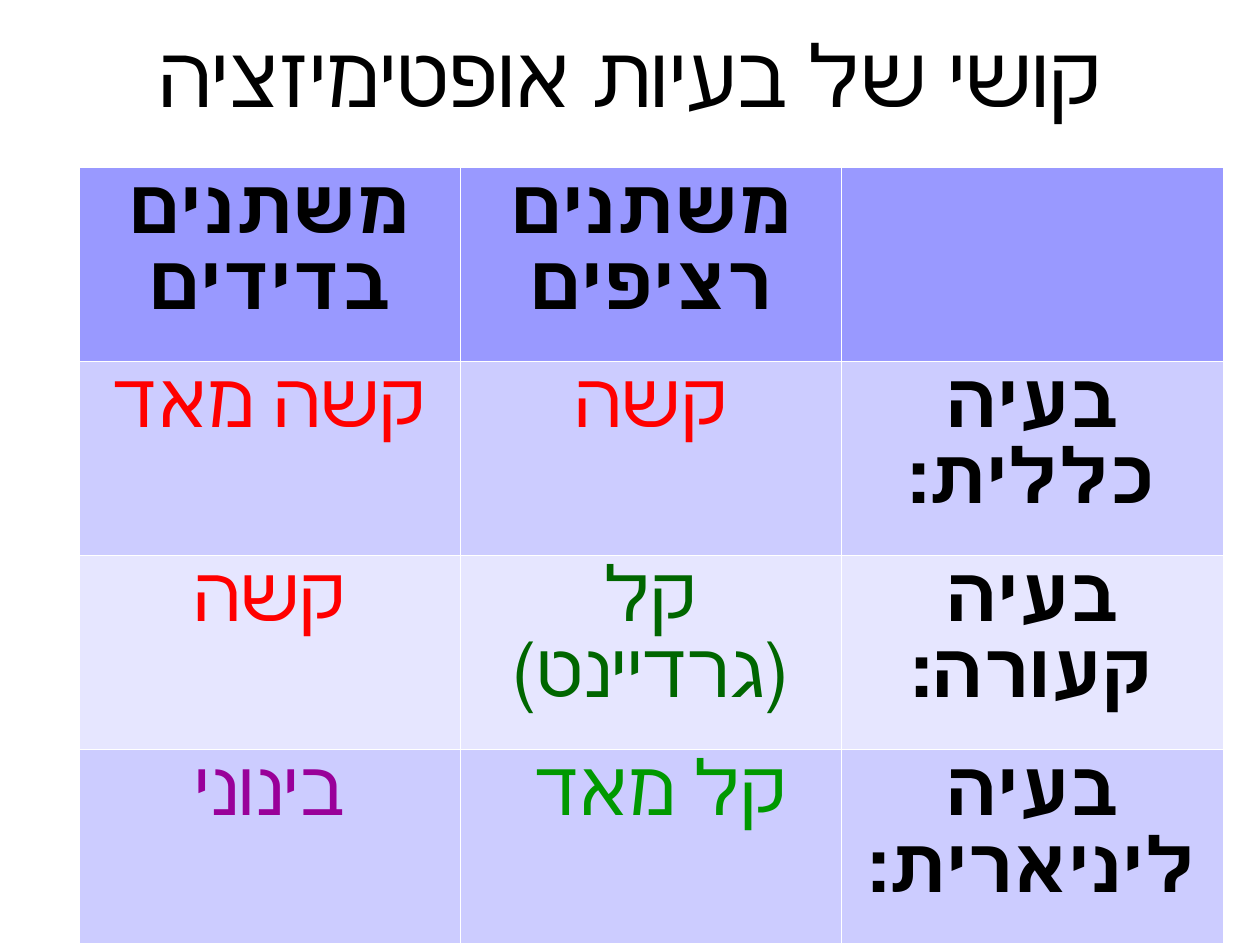
import dataclasses

import lxml.etree
import pptx
import pptx.dml.color
import pptx.enum.text
import pptx.oxml.ns
import pptx.util

WIDTH, HEIGHT = pptx.util.Cm(28), pptx.util.Cm(21)


@dataclasses.dataclass(frozen=True)
class Theme:
    font: str = "Arial"
    title_size: int = 54
    cell_size: int = 48
    text: str = "000000"
    border: str = "FFFFFF"
    header_fill: str = "9999FF"
    band_fills: tuple = ("CCCCFF", "E6E6FF")
    hard: str = "FF0000"
    medium: str = "990099"
    easy: str = "006600"
    very_easy: str = "009900"


THEME = Theme()

HEADINGS = ["משתנים בדידים", "משתנים רציפים", ""]
PROBLEMS = [
    (("קשה מאד", THEME.hard), ("קשה", THEME.hard), "בעיה כללית:"),
    (("קשה", THEME.hard), ("קל (גרדיינט)", THEME.easy), "בעיה קעורה:"),
    (("בינוני", THEME.medium), ("קל מאד ", THEME.very_easy), "בעיה ליניארית:"),
]


def color(value):
    return pptx.dml.color.RGBColor.from_string(value)


def write_text(frame, text, *, size, fill, bold=False, line_spacing=None):
    """Write one centred right-to-left paragraph into a text frame."""
    frame.word_wrap = True
    paragraph = frame.paragraphs[0]
    paragraph.alignment = pptx.enum.text.PP_ALIGN.CENTER
    paragraph.line_spacing = line_spacing
    paragraph._p.get_or_add_pPr().set("rtl", "1")
    run = paragraph.add_run()
    run.text = text
    run.font.name = THEME.font
    run.font.size = pptx.util.Pt(size)
    run.font.bold = bold
    run.font.color.rgb = color(fill)


def set_borders(cell, value, points):
    properties = cell._tc.get_or_add_tcPr()
    for index, side in enumerate(("lnL", "lnR", "lnT", "lnB")):
        line = lxml.etree.Element(pptx.oxml.ns.qn(f"a:{side}"), w=str(pptx.util.Pt(points)))
        solid = lxml.etree.SubElement(line, pptx.oxml.ns.qn("a:solidFill"))
        lxml.etree.SubElement(solid, pptx.oxml.ns.qn("a:srgbClr"), val=value)
        properties.insert(index, line)


class SlideBuilder:
    def __init__(self, presentation, theme):
        self.theme = theme
        self.width = presentation.slide_width
        self.height = presentation.slide_height
        self.slide = presentation.slides.add_slide(presentation.slide_layouts[6])

    def area(self, left, top, width, height):
        """Turn percentages of the slide's size into lengths."""
        return (round(left * self.width / 100), round(top * self.height / 100),
                round(width * self.width / 100), round(height * self.height / 100))

    def title(self, text, area):
        frame = self.slide.shapes.add_textbox(*self.area(*area)).text_frame
        frame.margin_left = frame.margin_right = frame.margin_top = frame.margin_bottom = 0
        frame.vertical_anchor = pptx.enum.text.MSO_ANCHOR.MIDDLE
        write_text(frame, text, size=self.theme.title_size, fill=self.theme.text)

    def table(self, headings, problems, area):
        rows = [headings, *problems]
        shape = self.slide.shapes.add_table(len(rows), len(headings), *self.area(*area))
        fills = [self.theme.header_fill]
        fills += [self.theme.band_fills[index % 2] for index in range(len(problems))]
        for row_index, (row, fill) in enumerate(zip(rows, fills)):
            for column_index, content in enumerate(row):
                self.cell(shape.table.cell(row_index, column_index), content, fill)

    def cell(self, cell, content, fill):
        """Plain text is a bold heading; a (text, colour) pair is a rating."""
        cell.fill.solid()
        cell.fill.fore_color.rgb = color(fill)
        set_borders(cell, self.theme.border, 0.06)
        is_heading = isinstance(content, str)
        text, text_color = (content, self.theme.text) if is_heading else content
        if text:
            write_text(cell.text_frame, text, size=self.theme.cell_size, fill=text_color,
                       bold=is_heading, line_spacing=pptx.util.Pt(self.theme.cell_size))


def main():
    presentation = pptx.Presentation()
    presentation.slide_width = WIDTH
    presentation.slide_height = HEIGHT
    builder = SlideBuilder(presentation, THEME)
    builder.title("קושי של בעיות אופטימיזציה", (0, 2.3, 100, 11))
    builder.table(HEADINGS, PROBLEMS, (6.26, 17.68, 90.8, 82.15))
    presentation.save("out.pptx")


if __name__ == "__main__":
    main()
